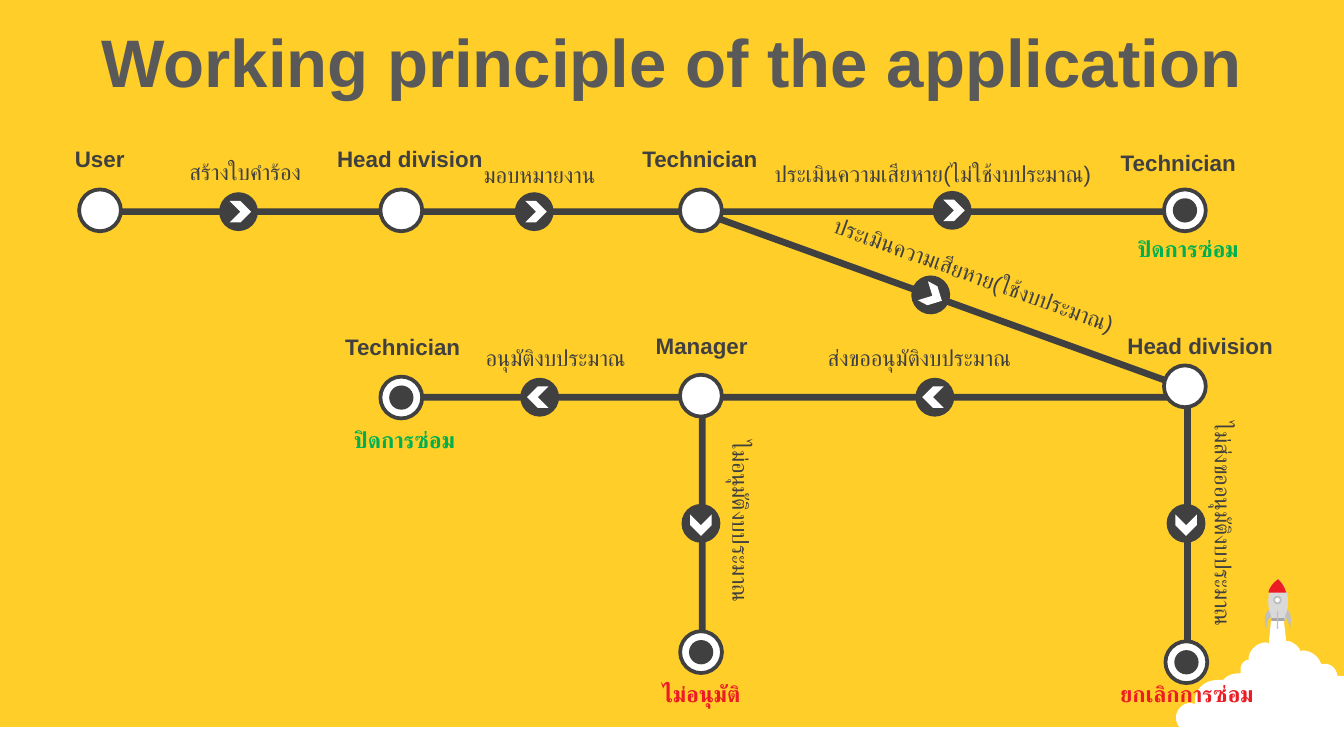
from dataclasses import dataclass
from math import cos, radians, sin

from lxml.etree import SubElement
from pptx import Presentation
from pptx.dml.color import RGBColor
from pptx.enum.shapes import MSO_SHAPE as Shape
from pptx.enum.text import MSO_ANCHOR as Anchor, MSO_AUTO_SIZE as Fit, PP_ALIGN as Align
from pptx.util import Pt


@dataclass(frozen=True)
class Theme:
    font: str = "Arial"
    back: str = "FFCE29"
    white: str = "FFFFFF"
    dark: str = "404040"
    title: str = "595959"
    green: str = "00B050"
    red: str = "ED1C24"
    hull: str = "D9D9D9"
    band: str = "A6A6A6"
    fin: str = "BFBFBF"
    big: int = 36
    small: int = 12


THEME = Theme()

# Outlines on the rocket's own grid, 125 units wide
CLOUD = """M 71 28 L 80 28 L 82 46 L 84 46 C 87 47 90 49 92 52 L 93 54 L 94 53
C 100 53 106 57 108 63 L 111 63 C 115 63 119 66 120 71 L 120 72 L 125 72
L 125 129 L 123 129 C 119 129 115 128 112 126 L 111 125 L 110 126
C 108 127 106 128 103 128 C 100 128 98 126 96 124 L 94 123
C 92 127 89 128 85 128 C 82 128 79 127 77 125 L 76 124 L 74 125
C 70 128 65 130 59 130 C 48 130 42 125 38 120 C 36 122 32 123 29 122
C 25 121 19 119 18 114 L 18 112 L 17 113 C 16 114 14 114 11 114
C 5 114 0 109 0 103 C 0 97 5 92 11 92 L 14 93 L 14 91
C 14 82 21 75 31 75 L 35 75 L 36 74 C 39 71 43 70 48 70 L 48 67
C 48 64 50 61 53 60 L 54 60 L 54 58 C 55 52 61 47 67 47 L 69 48"""
HULL = "M 71 31 C 69 22 65 9 76 0 C 87 10 83 23 81 31"
NOSE = "M 76 0 C 79 3 81 6 82 10 L 69 10 L 69 9 C 70 6 72 3 76 0"
FINS = ("M 69 23 L 71 28 C 67 30 68 35 67 37 C 66 34 65 26 69 23",
        "M 83 23 L 81 28 C 84 30 84 35 85 37 C 85 34 87 26 83 23")

# Flow chart, relative to its box: centre x, centre y, length, angle
BARS = [(376.2, 219, 141.8, 90), (636.1, 220.4, 141.8, 90),
        (425.9, 152.8, 415.4, 0), (505.8, 100.9, 278.6, 19.9),
        (342.7, 53.4, 577.4, 0)]
# Centre x, centre y, is it an end
STOPS = [(53.6, 52.7, False), (215, 52.7, False), (375.5, 52.7, False),
         (634.8, 52.7, True), (634.8, 147, False), (375.5, 152, False),
         (215, 153, True), (375.6, 289.4, True), (635.6, 294.8, True)]
# Centre x, centre y, angle
ARROWS = [(127.8, 53.4, 0), (286.2, 53.4, 0), (510.1, 52.7, 0),
          (498.6, 98, 28), (500.8, 152.8, 180), (289.1, 152.8, 180),
          (375.5, 220.4, 90), (635.4, 220.4, 90)]
# Words, left, top, width
ROLES = [("User", 33, 14.2, 41), ("Head division", 173.5, 14.2, 94.3),
         ("Technician", 337, 14.2, 77), ("Technician", 593.3, 16.3, 77),
         ("Head division", 596.9, 114.2, 94.3), ("Manager", 344.2, 114.2, 67),
         ("Technician", 177.8, 115, 77)]
# Words, left, top, width, angle
STEPS = [("สร้างใบคำร้อง", 89.3, 21.4, 84.2, 0),
         ("มอบหมายงาน", 247, 22.8, 84.2, 0),
         ("ประเมินความเสียหาย(ไม่ใช้งบประมาณ)", 396, 22.1, 207.4, 0),
         ("ประเมินความเสียหาย(ใช้งบประมาณ)", 424.1, 76.1, 193.7, 19.8),
         ("ส่งขออนุมัติงบประมาณ", 388.8, 120.7, 207.4, 0),
         ("อนุมัติงบประมาณ", 235.4, 120.7, 124.6, 0),
         ("ไม่ส่งขออนุมัติงบประมาณ", 582.5, 207.1, 140.4, 90),
         ("ไม่อนุมัติงบประมาณ", 324, 205.7, 140.4, 90)]
# Words, left, top, width, colour
ENDS = [("ปิดการซ่อม", 593.3, 62.4, 86.4, THEME.green),
        ("ปิดการซ่อม", 173.5, 164.6, 86.4, THEME.green),
        ("ยกเลิกการซ่อม", 589, 300.7, 93.6, THEME.red),
        ("ไม่อนุมัติ", 329, 300.7, 93.6, THEME.red)]


def paint(shape, fill, line=None, width=1):
    shape.shadow.inherit = False
    shape.fill.solid()
    shape.fill.fore_color.rgb = RGBColor.from_string(fill)
    if line:
        shape.line.color.rgb = RGBColor.from_string(line)
        shape.line.width = Pt(width)
    else:
        shape.line.fill.background()


def draw(shapes, kind, x, y, wide, high, fill, angle=0, **line):
    """Add a preset shape centred on x, y."""
    shape = shapes.add_shape(kind, Pt(x - wide / 2), Pt(y - high / 2), Pt(wide), Pt(high))
    shape.rotation = angle
    paint(shape, fill, **line)


def write(shape, words, size=THEME.small, color=THEME.dark, bold=False,
          align=Align.LEFT, anchor=Anchor.TOP):
    frame = shape.text_frame
    frame.word_wrap = True
    frame.auto_size = Fit.NONE
    frame.vertical_anchor = anchor
    para = frame.paragraphs[0]
    para.alignment = align
    run = para.add_run()
    run.text = words
    font = run.font
    font.name, font.size, font.bold = THEME.font, Pt(size), bold
    font.color.rgb = RGBColor.from_string(color)


def label(shapes, words, x, y, wide, high, angle=0, **look):
    box = shapes.add_textbox(Pt(x), Pt(y), Pt(wide), Pt(high))
    box.rotation = angle
    write(box, words, **look)


def trace(outline, steps=8):
    """Turn an outline of M, L and C marks into points."""
    marks = outline.split()
    points = []
    while marks:
        count = 6 if marks.pop(0) == "C" else 2
        nums = [float(mark) for mark in marks[:count]]
        del marks[:count]
        if count == 2:
            points.append(tuple(nums))
            continue
        knots = [points[-1], *zip(nums[::2], nums[1::2])]
        for step in range(1, steps + 1):
            t = step / steps
            mix = ((1 - t) ** 3, 3 * t * (1 - t) ** 2, 3 * t * t * (1 - t), t ** 3)
            points.append(tuple(sum(m * k[axis] for m, k in zip(mix, knots))
                                for axis in (0, 1)))
    return points


def add_rocket(shapes, left, top, wide):
    unit = wide / 125
    group = shapes.add_group_shape().shapes

    def form(outline, fill):
        points = [(Pt(left + x * unit), Pt(top + y * unit)) for x, y in trace(outline)]
        build = group.build_freeform(*points[0], scale=1.0)
        build.add_line_segments(points[1:], close=True)
        paint(build.convert_to_shape(), fill)

    def part(kind, x, y, w, h, fill, **line):
        draw(group, kind, left + x * unit, top + y * unit, w * unit, h * unit, fill, **line)

    form(CLOUD, THEME.white)
    form(HULL, THEME.hull)
    part(Shape.RECTANGLE, 76, 30, 10, 2, THEME.band)
    form(NOSE, THEME.red)
    part(Shape.OVAL, 75.5, 15.5, 5, 5, THEME.white, line=THEME.fin)
    part(Shape.RECTANGLE, 75.5, 30.5, 1, 13, THEME.fin)
    for fin in FINS:
        form(fin, THEME.fin)


def add_arrow(shapes, x, y, angle):
    group = shapes.add_group_shape().shapes
    draw(group, Shape.OVAL, x, y, 20.8, 20.8, THEME.dark, angle)
    turn = radians(angle)
    draw(group, Shape.CHEVRON, x + cos(turn), y + sin(turn), 11.5, 11.5, THEME.white, angle)


def add_flow(shapes, left, top):
    for x, y, length, angle in BARS:
        draw(shapes, Shape.RECTANGLE, left + x, top + y, length, 3.6, THEME.dark, angle)
    for x, y, final in STOPS:
        draw(shapes, Shape.OVAL, left + x, top + y, 22.4, 22.4, THEME.white,
             line=THEME.dark, width=2)
        if final:
            draw(shapes, Shape.OVAL, left + x, top + y, 13, 13, THEME.dark)
    for words, x, y, wide in ROLES:
        label(shapes, words, left + x, top + y, wide, 21.6, bold=True)
    for words, x, y, wide, angle in STEPS:
        label(shapes, words, left + x, top + y, wide, 27.4, angle, align=Align.CENTER)
    for words, x, y, wide, color in ENDS:
        label(shapes, words, left + x, top + y, wide, 27.4,
              color=color, bold=True, align=Align.CENTER)
    for x, y, angle in ARROWS:
        add_arrow(shapes, left + x, top + y, angle)


def add_title(slide, words, left, top, wide, high):
    title = slide.shapes.title
    title.left, title.top, title.width, title.height = map(Pt, (left, top, wide, high))
    write(title, words, size=THEME.big, color=THEME.title, bold=True,
          align=Align.CENTER, anchor=Anchor.MIDDLE)


def main():
    deck = Presentation()
    deck.slide_width, deck.slide_height = Pt(720), Pt(405)
    slide = deck.slides.add_slide(deck.slide_layouts[5])
    slide.background.fill.solid()
    slide.background.fill.fore_color.rgb = RGBColor.from_string(THEME.back)
    draw(slide.shapes, Shape.RECTANGLE, 360, 397.25, 720, 15.5, THEME.white)
    add_rocket(slide.shapes, 630, 310.3, 90)
    add_title(slide, "Working principle of the application", 0, 10, 720, 45.4)
    add_flow(slide.shapes, 0, 60)
    deck.save("out.pptx")


if __name__ == "__main__":
    main()
